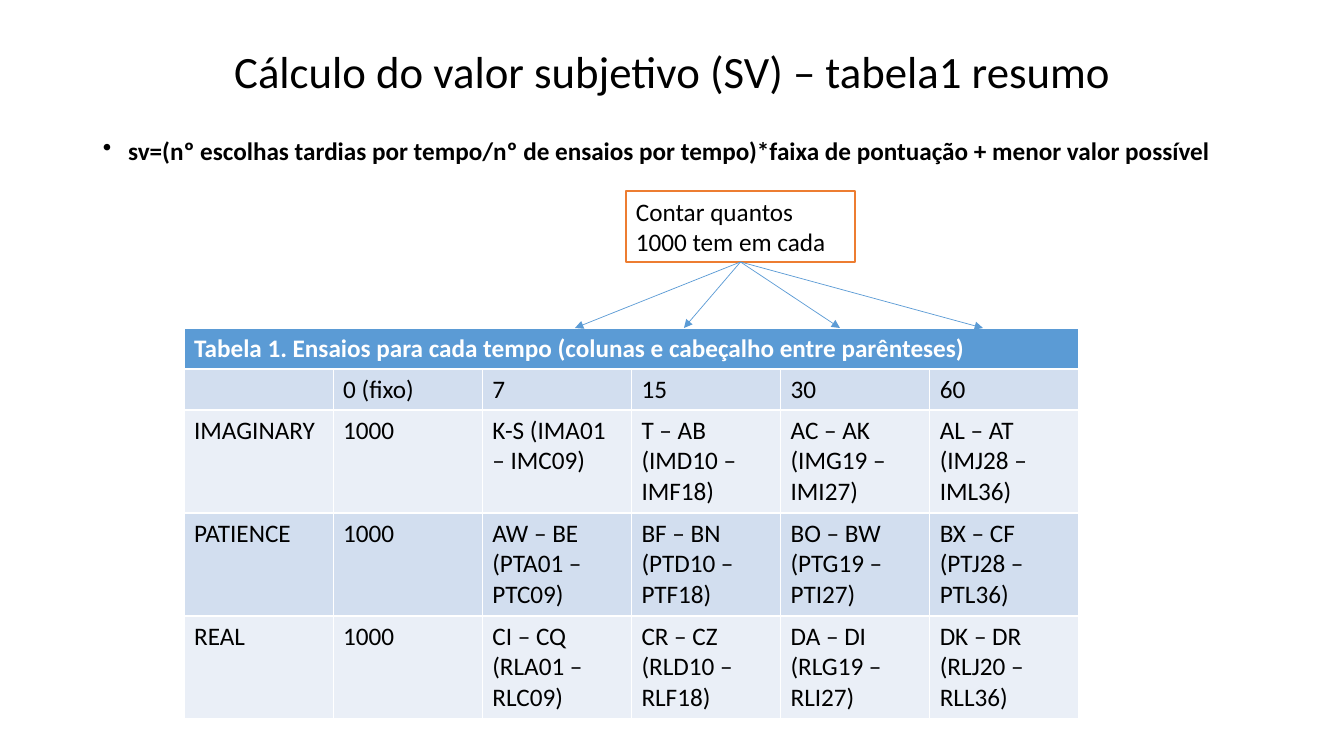
"""Build the slide that sums up how the subjective value is worked out."""
from dataclasses import dataclass

from lxml import etree
from pptx import Presentation
from pptx.dml.color import RGBColor
from pptx.enum.shapes import MSO_CONNECTOR, MSO_SHAPE
from pptx.enum.text import MSO_ANCHOR, PP_ALIGN
from pptx.oxml.ns import qn
from pptx.util import Pt

LEFT, CENTER = PP_ALIGN.LEFT, PP_ALIGN.CENTER
TOP, MIDDLE = MSO_ANCHOR.TOP, MSO_ANCHOR.MIDDLE
RECT, LINE = MSO_SHAPE.RECTANGLE, MSO_CONNECTOR.STRAIGHT
SCALE = 914400 / 100.8


@dataclass(frozen=True)
class Theme:
    """Colours and type sizes."""
    face: str = "Calibri"
    big: int = 32
    base: int = 18
    ink: str = "000000"
    paper: str = "FFFFFF"
    blue: str = "5B9BD5"
    orange: str = "ED7D31"
    bands: tuple = ("D2DEEF", "EAEFF7")


THEME = Theme()

TITLE = "Cálculo do valor subjetivo (SV) – tabela1 resumo"
RULE = ("sv=(nº escolhas tardias por tempo/nº de ensaios por tempo)"
        "*faixa de pontuação + menor valor possível")
NOTE = "Contar quantos 1000 tem em cada"
HEAD = "Tabela 1. Ensaios para cada tempo (colunas e cabeçalho entre parênteses)"
ROWS = [
    ("", "0 (fixo)", "7", "15", "30", "60"),
    ("IMAGINARY", "1000", "K-S (IMA01 – IMC09)", "T – AB (IMD10 – IMF18)",
     "AC – AK (IMG19 – IMI27)", "AL – AT (IMJ28 – IML36)"),
    ("PATIENCE", "1000", "AW – BE (PTA01 – PTC09)", "BF – BN (PTD10 – PTF18)",
     "BO – BW (PTG19 – PTI27)", "BX – CF (PTJ28 – PTL36)"),
    ("REAL", "1000", "CI – CQ (RLA01 – RLC09)", "CR – CZ (RLD10 – RLF18)",
     "DA – DI (RLG19 – RLI27)", "DK – DR (RLJ20 – RLL36)"),
]

TITLE_BOX = (93, 1, 1159, 146)
RULE_BOX = (93, 134, 1159, 217)
NOTE_BOX = (626, 191, 229, 71)
GRID_LEFT, GRID_TOP, GRID_WIDTH = 184, 328, 895
HEIGHTS = (41, 41, 103, 103, 103)
TIPS = (575, 684, 840, 983)


def px(size):
    return round(size * SCALE)


def box(rect):
    return [px(side) for side in rect]


def color(code):
    return RGBColor.from_string(code)


def paint(shape, code):
    shape.fill.solid()
    shape.fill.fore_color.rgb = color(code)


def write(frame, text, size=THEME.base, ink=THEME.ink, bold=False, align=LEFT):
    frame.word_wrap = True
    para = frame.paragraphs[0]
    para.text = text
    para.alignment = align
    font = para.font
    font.name, font.size, font.bold = THEME.face, Pt(size), bold
    font.color.rgb = color(ink)
    return para


def add_text(slide, rect, text, anchor=TOP, **look):
    frame = slide.shapes.add_textbox(*box(rect)).text_frame
    frame.vertical_anchor = anchor
    para = write(frame, text, **look)
    para.line_spacing = 0.9
    return para


def add_bullet(para):
    para.space_before = Pt(10)
    props = para._p.get_or_add_pPr()
    props.set("marL", "228600")
    props.set("indent", "-228600")
    mark = etree.Element(qn("a:buChar"), char="•")
    props.find(qn("a:spcBef")).addnext(mark)


def add_grid(slide):
    count = len(ROWS[0])
    rect = (GRID_LEFT, GRID_TOP, GRID_WIDTH, sum(HEIGHTS))
    grid = slide.shapes.add_table(len(HEIGHTS), count, *box(rect)).table
    for col in grid.columns:
        col.width = px(GRID_WIDTH / count)
    for row, height in zip(grid.rows, HEIGHTS):
        row.height = px(height)
    head = grid.cell(0, 0)
    head.merge(grid.cell(0, count - 1))
    paint(head, THEME.blue)
    write(head.text_frame, HEAD, ink=THEME.paper, bold=True)
    for r, row in enumerate(ROWS):
        for c, text in enumerate(row):
            cell = grid.cell(r + 1, c)
            paint(cell, THEME.bands[r % 2])
            write(cell.text_frame, text)


def add_note(slide):
    note = slide.shapes.add_shape(RECT, *box(NOTE_BOX))
    note.shadow.inherit = False
    paint(note, THEME.paper)
    note.line.color.rgb = color(THEME.orange)
    note.line.width = Pt(1)
    note.text_frame.vertical_anchor = TOP
    write(note.text_frame, NOTE)


def add_arrow(slide, start, end):
    arrow = slide.shapes.add_connector(LINE, *box(start + end))
    arrow.line.color.rgb = color(THEME.blue)
    arrow.line.width = Pt(0.5)
    etree.SubElement(arrow.line._get_or_add_ln(), qn("a:tailEnd"), type="triangle")
    etree.SubElement(arrow._element.spPr, qn("a:effectLst"))


def main():
    deck = Presentation()
    deck.slide_width, deck.slide_height = px(1344), px(756)
    slide = deck.slides.add_slide(deck.slide_layouts[6])
    add_grid(slide)
    add_text(slide, TITLE_BOX, TITLE, MIDDLE, size=THEME.big, align=CENTER)
    add_bullet(add_text(slide, RULE_BOX, RULE, bold=True))
    add_note(slide)
    left, top, width, height = NOTE_BOX
    start = (left + width / 2, top + height)
    for tip in TIPS:
        add_arrow(slide, start, (tip, GRID_TOP))
    deck.save("out.pptx")


main()
